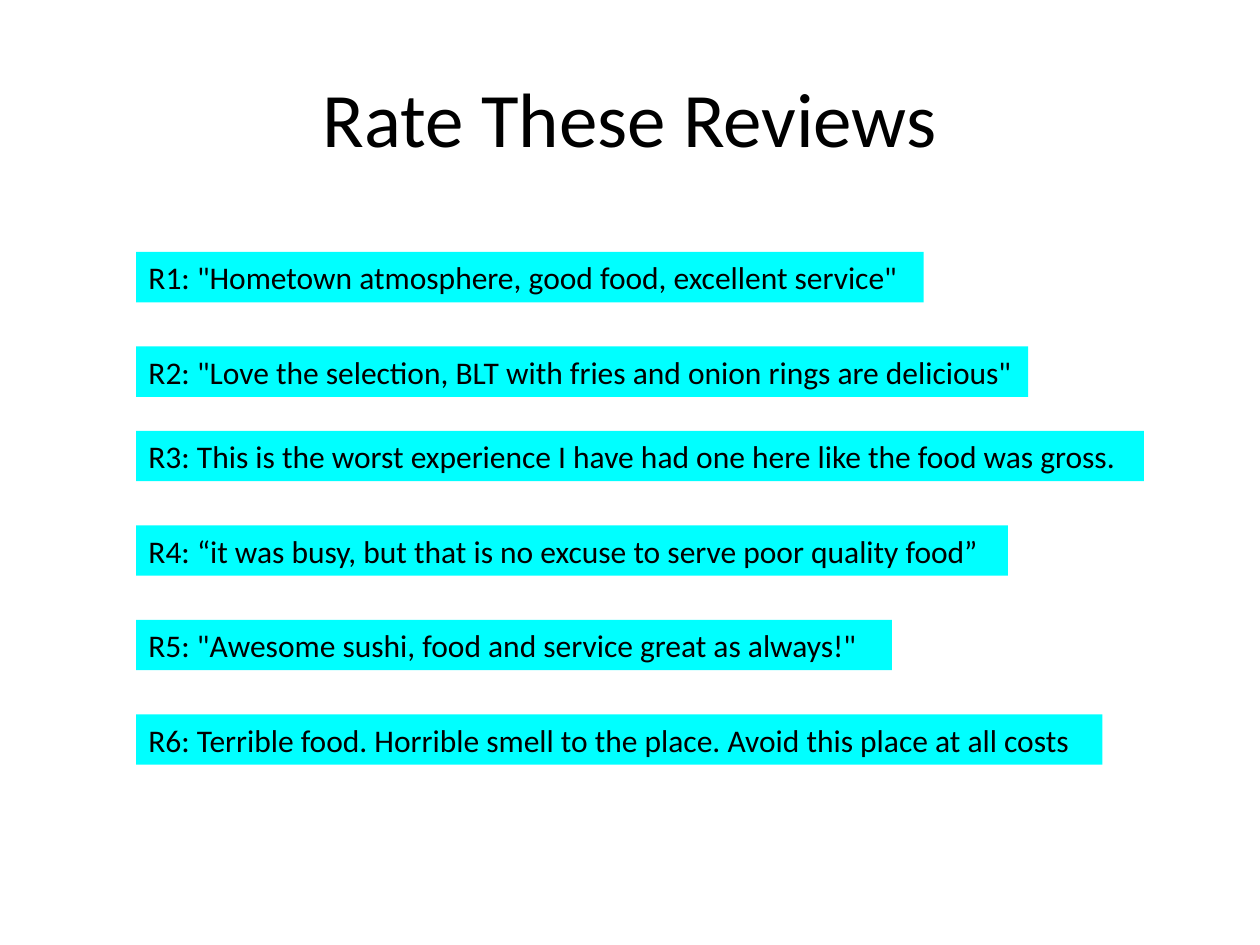
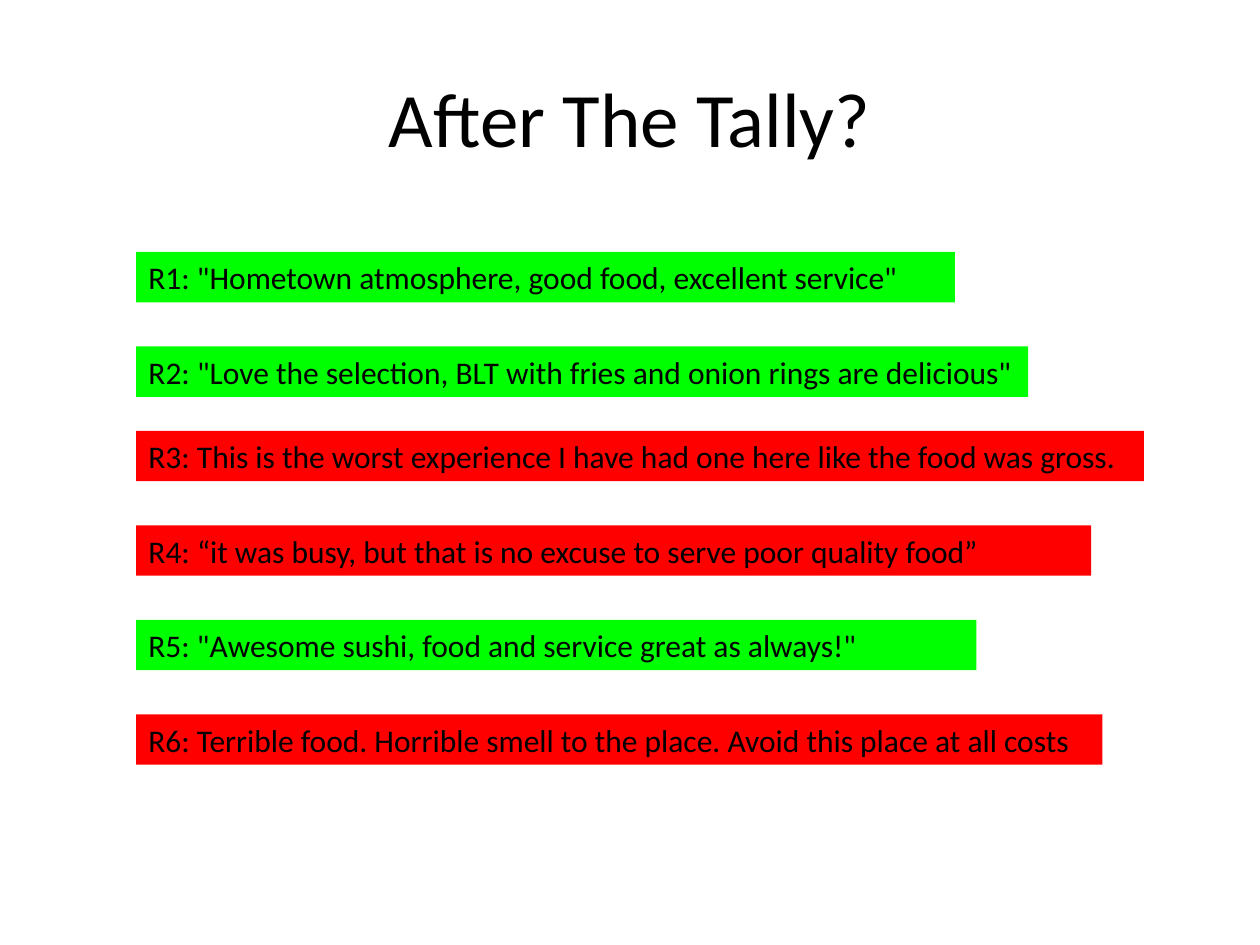
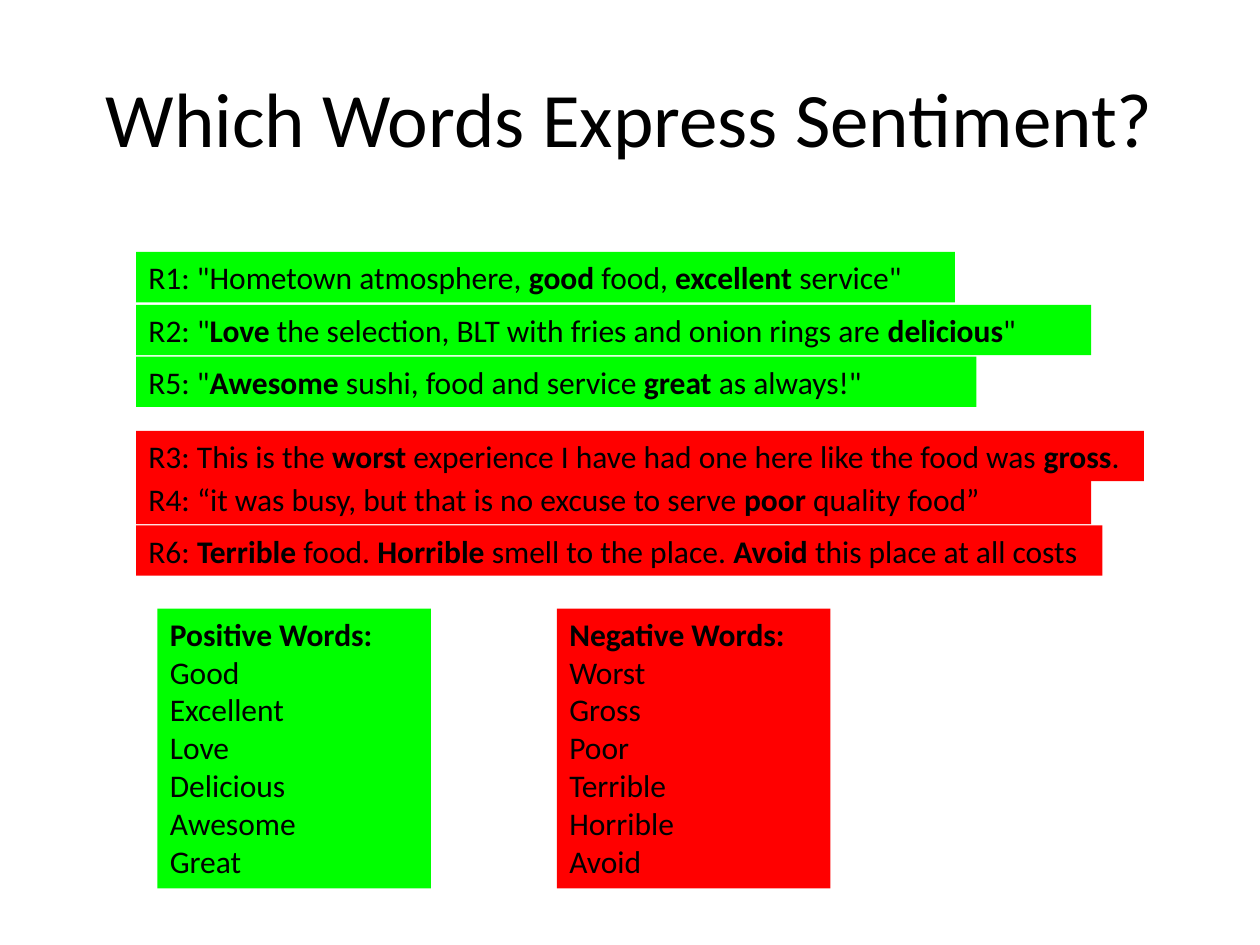
from dataclasses import dataclass

from pptx import Presentation
from pptx.dml.color import RGBColor
from pptx.enum.text import MSO_ANCHOR as Anchor, MSO_AUTO_SIZE as AutoSize, PP_ALIGN as Align
from pptx.slide import Slide
from pptx.util import Inches, Pt

FONT = "Calibri"
BLACK, UNRATED, POSITIVE, NEGATIVE = "000000", "00FFFF", "00FF00", "FF0000"
REVIEW_LEFT, REVIEW_HEIGHT = 1.08, 0.4


@dataclass(frozen=True)
class Review:
    """A review whose sentiment words stand between asterisks."""
    number: int
    text: str
    rating: str
    unrated_width: float
    rated_width: float
    sorted_width: float
    top: float
    sorted_top: float

    @property
    def plain(self) -> str:
        """Return the review without its sentiment marks."""
        return self.text.replace("*", "")

    @property
    def sentiment_words(self) -> list[str]:
        """Return the marked words, capitalized."""
        return [word.capitalize() for word in self.text.split("*")[1::2]]


REVIEWS = [
    Review(1, 'R1: "Hometown atmosphere, *good* food, *excellent* service"',
           POSITIVE, 6.25, 6.5, 6.5, 2, 2),
    Review(2, 'R2: "*Love* the selection, BLT with fries and onion rings are *delicious*"',
           POSITIVE, 7.08, 7.08, 7.58, 2.75, 2.42),
    Review(5, 'R5: "*Awesome* sushi, food and service *great* as always!"',
           POSITIVE, 6, 6.67, 6.67, 4.92, 2.83),
    Review(4, "R4: “it was busy, but that is no excuse to serve *poor* quality food”",
           NEGATIVE, 6.92, 7.58, 7.58, 4.17, 3.76),
    Review(3, "R3: This is the *worst* experience I have had one here like the food was *gross*.",
           NEGATIVE, 8, 8, 8, 3.42, 3.42),
    Review(6, "R6: *Terrible* food. *Horrible* smell to the place. *Avoid* this place at all costs",
           NEGATIVE, 7.67, 7.67, 7.67, 5.67, 4.17),
]


def color(value: str) -> RGBColor:
    """Turn a hex string into a colour."""
    return RGBColor.from_string(value)


def add_text(slide: Slide, text: str, left: float, top: float, width: float, height: float, *,
             size: float = 18, fill: str | None = None, align: Align = Align.LEFT,
             anchor: Anchor = Anchor.TOP, fit: AutoSize = AutoSize.SHAPE_TO_FIT_TEXT) -> None:
    """Add a text box, one paragraph a line, with words between asterisks in bold."""
    box = slide.shapes.add_textbox(Inches(left), Inches(top), Inches(width), Inches(height))
    if fill:
        box.fill.solid()
        box.fill.fore_color.rgb = color(fill)
    frame = box.text_frame
    frame.word_wrap = True
    frame.auto_size = fit
    frame.vertical_anchor = anchor
    for index, line in enumerate(text.split("\n")):
        paragraph = frame.add_paragraph() if index else frame.paragraphs[0]
        paragraph.alignment = align
        for position, part in enumerate(line.split("*")):
            if part:
                run = paragraph.add_run()
                run.text = part
                run.font.name = FONT
                run.font.size = Pt(size)
                run.font.bold = position % 2 == 1
                run.font.color.rgb = color(BLACK)


def add_titled_slide(deck: Presentation, title: str) -> Slide:
    """Add a blank slide with the shared title style."""
    slide = deck.slides.add_slide(deck.slide_layouts[6])
    add_text(slide, title, 0.5, 0.3, 9, 1.25, size=44, align=Align.CENTER,
             anchor=Anchor.MIDDLE, fit=AutoSize.NONE)
    return slide


def add_review(slide: Slide, text: str, top: float, width: float, fill: str) -> None:
    """Add one review bar."""
    add_text(slide, text, REVIEW_LEFT, top, width, REVIEW_HEIGHT, fill=fill)


def add_word_list(slide: Slide, heading: str, rating: str, left: float) -> None:
    """List the sentiment words of all reviews with the given rating."""
    reviews = sorted((r for r in REVIEWS if r.rating == rating), key=lambda r: r.number)
    words = [word for review in reviews for word in review.sentiment_words]
    add_text(slide, "\n".join([f"*{heading}*", *words]), left, 4.83, 2.17, 2.22, fill=rating)


def main() -> None:
    """Build the three slides."""
    deck = Presentation()
    deck.slide_width, deck.slide_height = Inches(10), Inches(7.5)

    unrated = add_titled_slide(deck, "Rate These Reviews")
    rated = add_titled_slide(deck, "After The Tally?")
    by_sentiment = add_titled_slide(deck, "Which Words Express Sentiment?")
    for review in REVIEWS:
        add_review(unrated, review.plain, review.top, review.unrated_width, UNRATED)
        add_review(rated, review.plain, review.top, review.rated_width, review.rating)
        add_review(by_sentiment, review.text, review.sorted_top, review.sorted_width,
                   review.rating)
    add_word_list(by_sentiment, "Positive Words:", POSITIVE, 1.25)
    add_word_list(by_sentiment, "Negative Words:", NEGATIVE, 4.42)

    deck.save("out.pptx")


if __name__ == "__main__":
    main()
